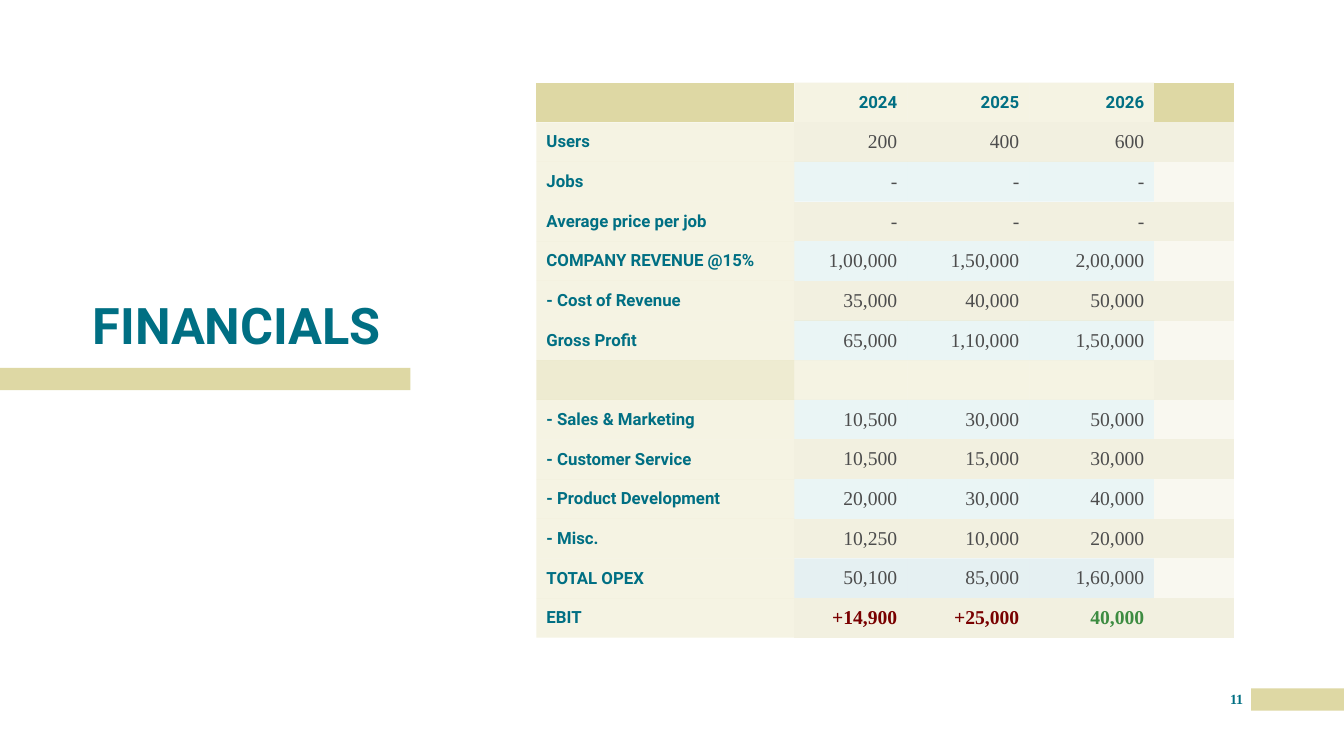
from lxml import etree
from pptx import Presentation
from pptx.dml.color import RGBColor
from pptx.enum.shapes import MSO_SHAPE
from pptx.enum.text import MSO_ANCHOR, MSO_AUTO_SIZE, PP_ALIGN
from pptx.oxml.ns import qn
from pptx.util import Pt

PX = 9144
RECTANGLE = MSO_SHAPE.RECTANGLE
MIDDLE, BOTTOM, TOP = MSO_ANCHOR.MIDDLE, MSO_ANCHOR.BOTTOM, MSO_ANCHOR.TOP
LEFT, CENTER, RIGHT = PP_ALIGN.LEFT, PP_ALIGN.CENTER, PP_ALIGN.RIGHT
NO_AUTOFIT = MSO_AUTO_SIZE.NONE

TEAL = RGBColor(0x00, 0x6F, 0x83)
AQUA = RGBColor(0x32, 0xA1, 0xA6)
SAND = RGBColor(0xDE, 0xD8, 0xA4)
CREAM = RGBColor(0xF2, 0xF0, 0xE0)
IVORY = RGBColor(0xF9, 0xF8, 0xF0)
GREY = RGBColor(0x4D, 0x4D, 0x4D)
MAROON = RGBColor(0x79, 0x00, 0x00)
GREEN = RGBColor(0x3D, 0x8C, 0x41)

HEADING_FONT, FIGURE_FONT = "Roboto", "Times New Roman"
NO_STYLE_NO_GRID = "{2D5ABB26-0587-4C30-8999-92F81FD0307C}"
COLUMN_WIDTHS = (256, 112, 121, 124, 79)
FINANCIALS = (
    ("", "2024", "2025", "2026", ""),
    ("Users", "200", "400", "600", ""),
    ("Jobs", "-", "-", "-", ""),
    ("Average price per job", "-", "-", "-", ""),
    ("COMPANY REVENUE @15%", "1,00,000", "1,50,000", "2,00,000", ""),
    ("- Cost of Revenue", "35,000", "40,000", "50,000", ""),
    ("Gross Profit", "65,000", "1,10,000", "1,50,000", ""),
    ("", "", "", "", ""),
    ("- Sales & Marketing", "10,500", "30,000", "50,000", ""),
    ("- Customer Service", "10,500", "15,000", "30,000", ""),
    ("- Product Development", "20,000", "30,000", "40,000", ""),
    ("- Misc.", "10,250", "10,000", "20,000", ""),
    ("TOTAL OPEX", "50,100", "85,000", "1,60,000", ""),
    ("EBIT", "+14,900", "+25,000", "40,000", ""),
)
SPACER_ROW = 7
OPEX_ROW = 12
EBIT_ROW = 13
EBIT_COLORS = (MAROON, MAROON, GREEN)


def emu(box):
    return [length * PX for length in box]


def style_text(frame, font_name, size, color, bold, align):
    paragraph = frame.paragraphs[0]
    paragraph.alignment = align
    font = paragraph.runs[0].font
    font.name = font_name
    font.size = Pt(size)
    font.bold = bold
    font.color.rgb = color


def clear_margins(frame):
    frame.margin_left = frame.margin_right = 0
    frame.margin_top = frame.margin_bottom = 0
    frame.auto_size = NO_AUTOFIT
    frame.word_wrap = True


def add_bar(slide, box):
    bar = slide.shapes.add_shape(RECTANGLE, *emu(box))
    bar.shadow.inherit = False
    bar.fill.solid()
    bar.fill.fore_color.rgb = SAND
    bar.line.fill.background()


def add_heading(slide, box):
    left, top, width, height = box
    add_bar(slide, (0, top + height + 12, 407, 22))
    title = slide.shapes.title
    title.left, title.top, title.width, title.height = emu(box)
    frame = title.text_frame
    clear_margins(frame)
    frame.vertical_anchor = BOTTOM
    frame.text = "FINANCIALS"
    frame.paragraphs[0].line_spacing = 0.9
    style_text(frame, HEADING_FONT, 36, TEAL, True, LEFT)


def cell_fill(row, column):
    last = len(COLUMN_WIDTHS) - 1
    if row == 0:
        return SAND, 100 if column in (0, last) else 30
    if column == last:
        return (CREAM if row % 2 else IVORY), 100
    if column == 0:
        return SAND, 50 if row == SPACER_ROW else 30
    if row == SPACER_ROW:
        return SAND, 30
    if row % 2:
        return CREAM, 100
    return (TEAL if row == OPEX_ROW else AQUA), 10


def fill_cell(cell, color, opacity):
    cell.fill.solid()
    cell.fill.fore_color.rgb = color
    if opacity < 100:
        color_element = cell._tc.tcPr.find(".//" + qn("a:srgbClr"))
        etree.SubElement(color_element, qn("a:alpha"), val=str(opacity * 1000))


def write_cell(cell, text, row, column):
    cell.vertical_anchor = MIDDLE
    if not text:
        cell.margin_top = cell.margin_bottom = 0
        return
    cell.text_frame.text = text
    align = RIGHT if column else LEFT
    if row == 0 or column == 0:
        style_text(cell.text_frame, HEADING_FONT, 12, TEAL, True, align)
    else:
        is_ebit = row == EBIT_ROW
        color = EBIT_COLORS[column - 1] if is_ebit else GREY
        style_text(cell.text_frame, FIGURE_FONT, 14, color, is_ebit, align)


def add_financials_table(slide, box):
    frame = slide.shapes.add_table(len(FINANCIALS), len(COLUMN_WIDTHS), *emu(box))
    table = frame.table
    table.first_row = table.horz_banding = False
    table._tbl.tblPr.find(qn("a:tableStyleId")).text = NO_STYLE_NO_GRID
    for column, width in zip(table.columns, COLUMN_WIDTHS):
        column.width = width * PX
    for row, texts in enumerate(FINANCIALS):
        table.rows[row].height = box[3] * PX // len(FINANCIALS)
        for column, text in enumerate(texts):
            cell = table.cell(row, column)
            fill_cell(cell, *cell_fill(row, column))
            write_cell(cell, text, row, column)


def add_footer(slide, box):
    left, top, width, height = box
    number_width = 29
    add_bar(slide, (left + number_width, top, width - number_width, height))
    number_box = (left, top + 2, number_width, 25)
    frame = slide.shapes.add_textbox(*emu(number_box)).text_frame
    clear_margins(frame)
    frame.vertical_anchor = TOP
    frame.text = "11"
    style_text(frame, FIGURE_FONT, 10, TEAL, True, CENTER)


def main():
    deck = Presentation()
    deck.slide_width, deck.slide_height = 1333 * PX, 750 * PX
    slide = deck.slides.add_slide(deck.slide_layouts[5])
    add_heading(slide, (92, 208, 484, 145))
    add_financials_table(slide, (532, 82, 692, 551))
    add_footer(slide, (1212, 683, 121, 22))
    deck.save("out.pptx")


if __name__ == "__main__":
    main()
